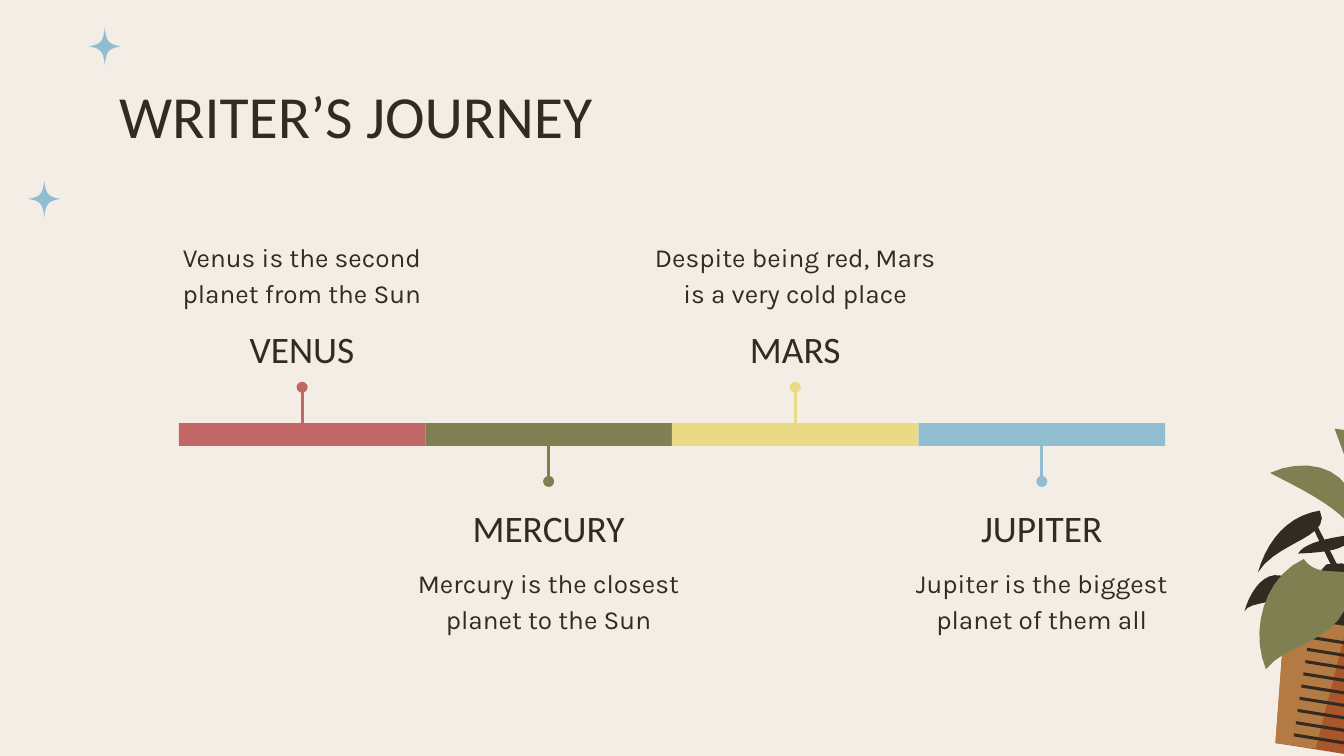
from dataclasses import dataclass

import pptx
import pptx.dml.color
import pptx.enum.shapes
import pptx.enum.text
import pptx.oxml
import pptx.oxml.ns
import pptx.util
from pptx.util import Cm


@dataclass(frozen=True)
class Theme:
    background: str = "F3EDE6"
    ink: str = "322A23"
    red: str = "C36666"
    green: str = "7E8051"
    yellow: str = "EADA85"
    blue: str = "91BDD1"
    clay: str = "A9572A"
    light_clay: str = "B47A44"
    heading_font: str = "Calibri"
    body_font: str = "Karla"
    title_size: int = 32
    heading_size: int = 20
    body_size: int = 14


THEME = Theme()
GRID = 0.0254  # cm per unit of the drawn outlines

# Outlines: a start point, then line ends (x, y) or Bezier segments (two controls, end)
DARK_LEAVES = [
    [(936, 426), (943, 402, 958, 384, 982, 380), (992, 400, 950, 403, 936, 426)],
    [(987, 420), (965, 440, 970, 480, 975, 493), (1030, 480, 1030, 410, 987, 420)],
    [(966, 412), (970, 404, 990, 400, 1006, 398), (1004, 410, 985, 411, 966, 412)],
    [(976, 391), (979, 389), (1000, 430), (996, 432)],
    [(926, 455), (930, 440, 942, 422, 957, 430), (970, 452, 930, 445, 926, 455)],
]
GREEN_LEAVES = [
    [(942, 498), (930, 470, 940, 430, 970, 416), (980, 430, 995, 422, 1007, 428),
     (1005, 480, 960, 475, 942, 498)],
    [(945, 352), (975, 338, 1015, 350, 1006, 393), (995, 376, 960, 360, 945, 352)],
    [(993, 319), (1004, 349), (1014, 322)],
]
POT = [(1025, 565), (949, 553), (956, 459), (1048, 474)]
POT_LIGHT_SIDE = [(956, 459), (949, 553), (979, 557), (1002, 466)]


def color(value):
    return pptx.dml.color.RGBColor.from_string(value)


def paint(shape, fill):
    shape.shadow.inherit = False
    shape.fill.solid()
    shape.fill.fore_color.rgb = color(fill)
    shape.line.fill.background()


def flatten(outline, steps=10):
    """Turn an outline into the points of a polygon."""
    points = [outline[0]]
    for segment in outline[1:]:
        if len(segment) == 2:
            points.append(segment)
            continue
        controls = [points[-1], segment[:2], segment[2:4], segment[4:]]
        for step in range(1, steps + 1):
            t = step / steps
            weights = ((1 - t) ** 3, 3 * t * (1 - t) ** 2, 3 * t * t * (1 - t), t ** 3)
            points.append(tuple(sum(w * c[axis] for w, c in zip(weights, controls))
                                for axis in (0, 1)))
    return points


def add_outline(slide, outline, fill):
    points = [(Cm(x * GRID), Cm(y * GRID)) for x, y in flatten(outline)]
    builder = slide.shapes.build_freeform(*points[0], scale=1.0)
    builder.add_line_segments(points[1:], close=True)
    paint(builder.convert_to_shape(), fill)


def add_star(slide, x, y):
    outline = [(x + 12, y)]
    for sx, sy in ((1, 1), (-1, 1), (-1, -1), (1, -1)):
        near_side, near_tip = (x + 3 * sx, y + 1.5 * sy), (x + sx, y + 3.5 * sy)
        if sx == sy:
            outline.append((*near_side, *near_tip, x, y + 14 * sy))
        else:
            outline.append((*near_tip, *near_side, x + 12 * sx, y))
    add_outline(slide, outline, THEME.blue)


def add_plant(slide):
    for leaf in DARK_LEAVES:
        add_outline(slide, leaf, THEME.ink)
    add_outline(slide, POT, THEME.clay)
    add_outline(slide, POT_LIGHT_SIDE, THEME.light_clay)
    # Stripes narrow toward the foot of the pot
    thickness = 2.3
    for row in range(9):
        left, left_y = 974 - 1.4 * row, 473 + 9.1 * row
        right, right_y = 1046 - 2.35 * row, 484.5 + 8.95 * row
        add_outline(slide, [(left, left_y), (left, left_y + thickness),
                            (right, right_y + thickness), (right, right_y)], THEME.ink)
    for leaf in GREEN_LEAVES:
        add_outline(slide, leaf, THEME.green)


def write_text(shape, text, *, font, size, align="LEFT", anchor="TOP", spacing=1.0):
    frame = shape.text_frame
    frame.word_wrap = True
    frame.auto_size = pptx.enum.text.MSO_AUTO_SIZE.NONE
    frame.vertical_anchor = pptx.enum.text.MSO_ANCHOR[anchor]
    frame.margin_left = frame.margin_right = Cm(0.25)
    frame.margin_top = frame.margin_bottom = Cm(0.25)
    paragraph = frame.paragraphs[0]
    paragraph.alignment = pptx.enum.text.PP_ALIGN[align]
    paragraph.line_spacing = spacing
    run = paragraph.add_run()
    run.text = text
    run.font.name = font
    run.font.size = pptx.util.Pt(size)
    run.font.color.rgb = color(THEME.ink)


def add_label(slide, center, top, height, text, **text_format):
    width = 5.94
    box = slide.shapes.add_textbox(Cm(center - width / 2), Cm(top), Cm(width), Cm(height))
    write_text(box, text, align="CENTER", spacing=1.15, **text_format)


def add_pin(slide, x, bar_edge, tip, line_color):
    pin = slide.shapes.add_connector(pptx.enum.shapes.MSO_CONNECTOR.STRAIGHT,
                                     Cm(x), Cm(bar_edge), Cm(x), Cm(tip))
    pin.line.color.rgb = color(line_color)
    pin.line.width = pptx.util.Pt(1.5)
    # Round head and no shadow
    namespace = pptx.oxml.ns.nsdecls("a")
    properties = pin._element.spPr
    properties.find(pptx.oxml.ns.qn("a:ln")).append(
        pptx.oxml.parse_xml(f'<a:tailEnd {namespace} type="oval"/>'))
    properties.append(pptx.oxml.parse_xml(f"<a:effectLst {namespace}/>"))


def add_timeline(slide, stages):
    left, top, width, height = 3.38, 8.0, 4.66, 0.43
    for index, (name, description, fill) in enumerate(stages):
        x = left + index * width
        center = x + width / 2
        segment = slide.shapes.add_shape(pptx.enum.shapes.MSO_SHAPE.RECTANGLE,
                                         Cm(x), Cm(top), Cm(width), Cm(height))
        paint(segment, fill)
        # Labels alternate above and below the bar
        if index % 2 == 0:
            edge, tip, name_top, text_top, anchor = top, 7.32, 5.79, 4.22, "TOP"
        else:
            edge, tip, name_top, text_top, anchor = top + height, 9.1, 9.1, 10.39, "BOTTOM"
        add_pin(slide, center, edge, tip, fill)
        add_label(slide, center, name_top, 1.55, name, anchor=anchor,
                  font=THEME.heading_font, size=THEME.heading_size)
        add_label(slide, center, text_top, 1.8, description,
                  font=THEME.body_font, size=THEME.body_size)


def main():
    presentation = pptx.Presentation()
    presentation.slide_width, presentation.slide_height = Cm(25.4), Cm(14.29)
    slide = presentation.slides.add_slide(presentation.slide_layouts[5])
    slide.background.fill.solid()
    slide.background.fill.fore_color.rgb = color(THEME.background)

    # Decoration
    add_plant(slide)
    add_star(slide, 78, 34.5)
    add_star(slide, 33, 148)

    # Title
    title = slide.shapes.title
    title.left, title.top, title.width, title.height = Cm(2), Cm(1.24), Cm(21.4), Cm(1.8)
    write_text(title, "WRITER’S JOURNEY", font=THEME.heading_font, size=THEME.title_size)

    # Timeline
    add_timeline(slide, [
        ("VENUS", "Venus is the second planet from the Sun", THEME.red),
        ("MERCURY", "Mercury is the closest planet to the Sun", THEME.green),
        ("MARS", "Despite being red, Mars is a very cold place", THEME.yellow),
        ("JUPITER", "Jupiter is the biggest planet of them all", THEME.blue),
    ])
    presentation.save("out.pptx")


if __name__ == "__main__":
    main()
